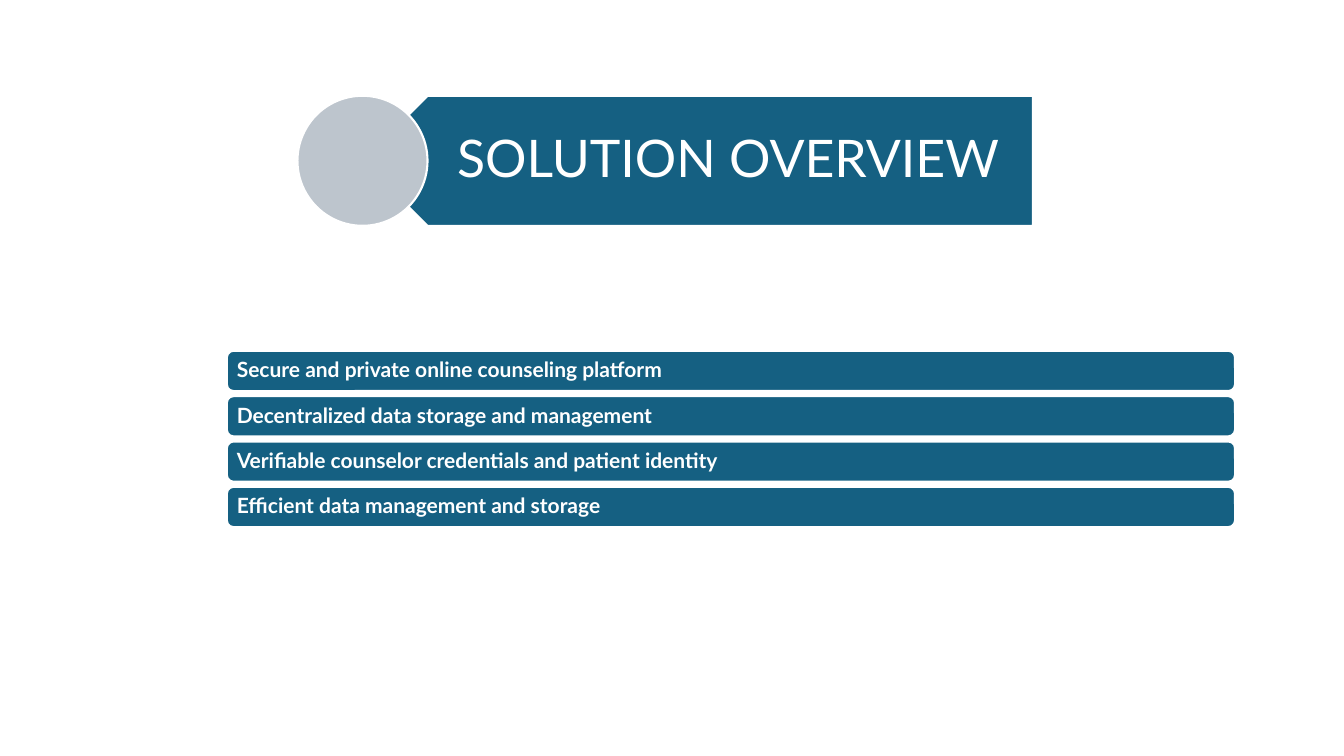
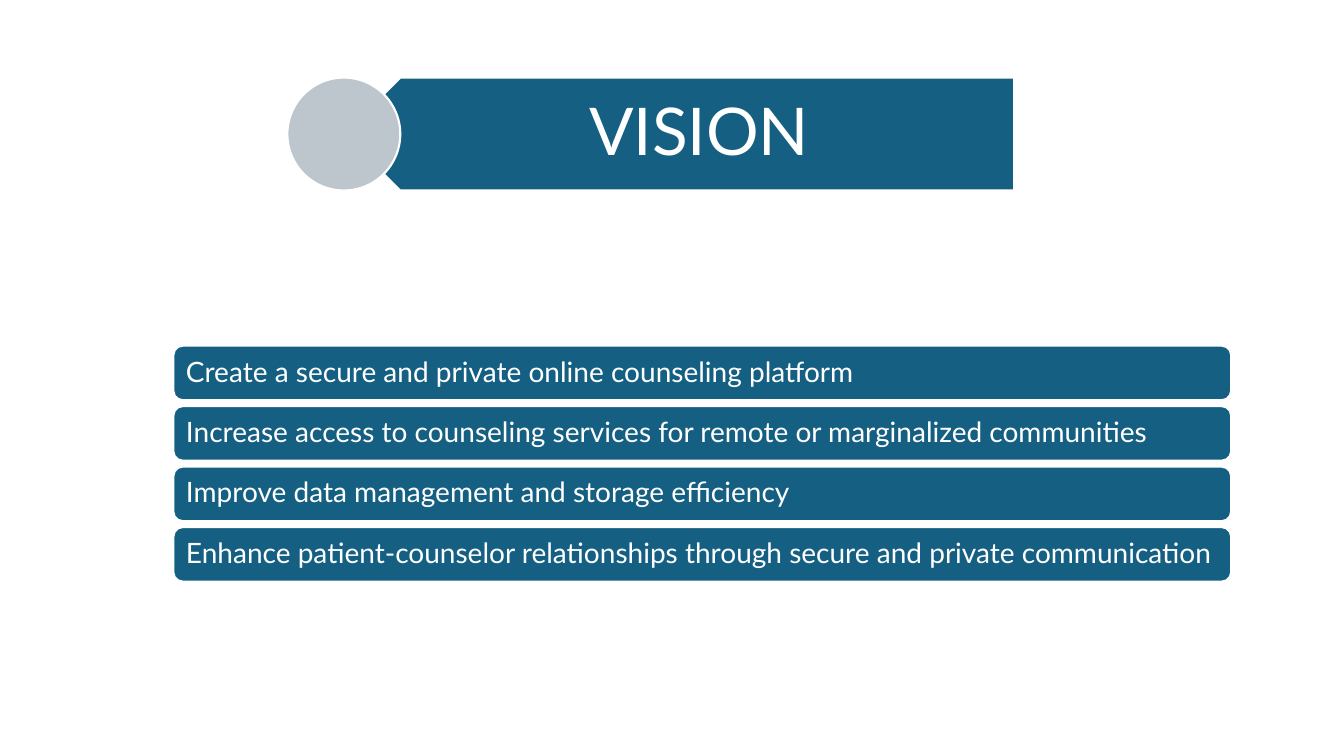
from pptx import Presentation
from pptx.dml.color import RGBColor
from pptx.enum.shapes import MSO_SHAPE
from pptx.enum.text import MSO_ANCHOR, MSO_AUTO_SIZE, PP_ALIGN
from pptx.util import Pt

EMU_PER_PX = 9144
SLIDE_SIZE = (1333, 750)
COLORS = {"band": "156082", "disc": "BDC5CD", "paper": "FFFFFF"}
FONT = "Lato"
TITLE_ONLY = 5

SLIDES = [
    {
        "banner": {
            "title": "SOLUTION OVERVIEW",
            "left": 295, "top": 95, "diameter": 129, "arrow_width": 665,
            "insets": (57, 29), "size": 37,
        },
        "bars": {
            "labels": [
                "Secure and private online counseling platform",
                "Decentralized data storage and management",
                "Verifiable counselor credentials and patient identity",
                "Efficient data management and storage",
            ],
            "left": 225, "top": 348, "width": 1000, "height": 40,
            "pitch": 45, "inset": 8, "size": 15, "bold": True,
        },
    },
    {
        "banner": {
            "title": "VISION",
            "left": 285, "top": 77, "diameter": 112, "arrow_width": 665,
            "insets": (49, 37), "size": 47,
        },
        "bars": {
            "labels": [
                "Create a secure and private online counseling platform",
                "Increase access to counseling services for remote or marginalized communities",
                "Improve data management and storage efficiency",
                "Enhance patient-counselor relationships through secure and private communication",
            ],
            "left": 172, "top": 343, "width": 1049, "height": 54,
            "pitch": 60, "inset": 10, "size": 20, "bold": False,
        },
    },
]


def px(length):
    return round(length * EMU_PER_PX)


def rgb(name):
    return RGBColor.from_string(COLORS[name])


def assign(target, values):
    for attribute, value in values.items():
        setattr(target, attribute, value)


class Deck:
    def __init__(self):
        self.presentation = Presentation()
        width, height = SLIDE_SIZE
        assign(self.presentation, {"slide_width": px(width), "slide_height": px(height)})
        self.slide = None

    def new_slide(self):
        layout = self.presentation.slide_layouts[TITLE_ONLY]
        self.slide = self.presentation.slides.add_slide(layout)

    def panel(self, preset, left, top, width, height, color):
        panel = self.slide.shapes.add_shape(
            preset, px(left), px(top), px(width), px(height))
        panel.shadow.inherit = False
        panel.fill.solid()
        panel.fill.fore_color.rgb = rgb(color)
        panel.line.color.rgb = rgb("paper")
        panel.line.width = Pt(1.5)
        return panel

    def label(self, holder, text, size, insets, align, bold=False):
        frame = holder.text_frame
        frame.text = text
        assign(frame, {
            "word_wrap": True, "auto_size": MSO_AUTO_SIZE.NONE,
            "vertical_anchor": MSO_ANCHOR.MIDDLE,
            "margin_left": px(insets[0]), "margin_right": px(insets[1]),
            "margin_top": 0, "margin_bottom": 0,
        })
        paragraph = frame.paragraphs[0]
        assign(paragraph, {"alignment": align, "line_spacing": 0.9})
        font = paragraph.runs[0].font
        assign(font, {"name": FONT, "size": Pt(size), "bold": bold})
        font.color.rgb = rgb("paper")

    def banner(self, title, left, top, diameter, arrow_width, insets, size):
        arrow_left = left + diameter / 2
        arrow = self.panel(
            MSO_SHAPE.PENTAGON, arrow_left, top, arrow_width, diameter, "band")
        arrow.rotation = 180
        self.panel(MSO_SHAPE.OVAL, left, top, diameter, diameter, "disc")
        heading = self.slide.shapes.title
        point = diameter / 4
        assign(heading, {
            "left": px(arrow_left + point), "top": px(top),
            "width": px(arrow_width - point), "height": px(diameter),
        })
        self.label(heading, title, size, insets, PP_ALIGN.CENTER)
        arrow.element.addnext(heading.element)

    def bars(self, labels, left, top, width, height, pitch, inset, size, bold):
        for row, text in enumerate(labels):
            bar = self.panel(
                MSO_SHAPE.ROUNDED_RECTANGLE, left, top + row * pitch, width, height, "band")
            self.label(bar, text, size, (inset, inset), PP_ALIGN.LEFT, bold)


def main():
    deck = Deck()
    for content in SLIDES:
        deck.new_slide()
        deck.banner(**content["banner"])
        deck.bars(**content["bars"])
    deck.presentation.save("out.pptx")


if __name__ == "__main__":
    main()
